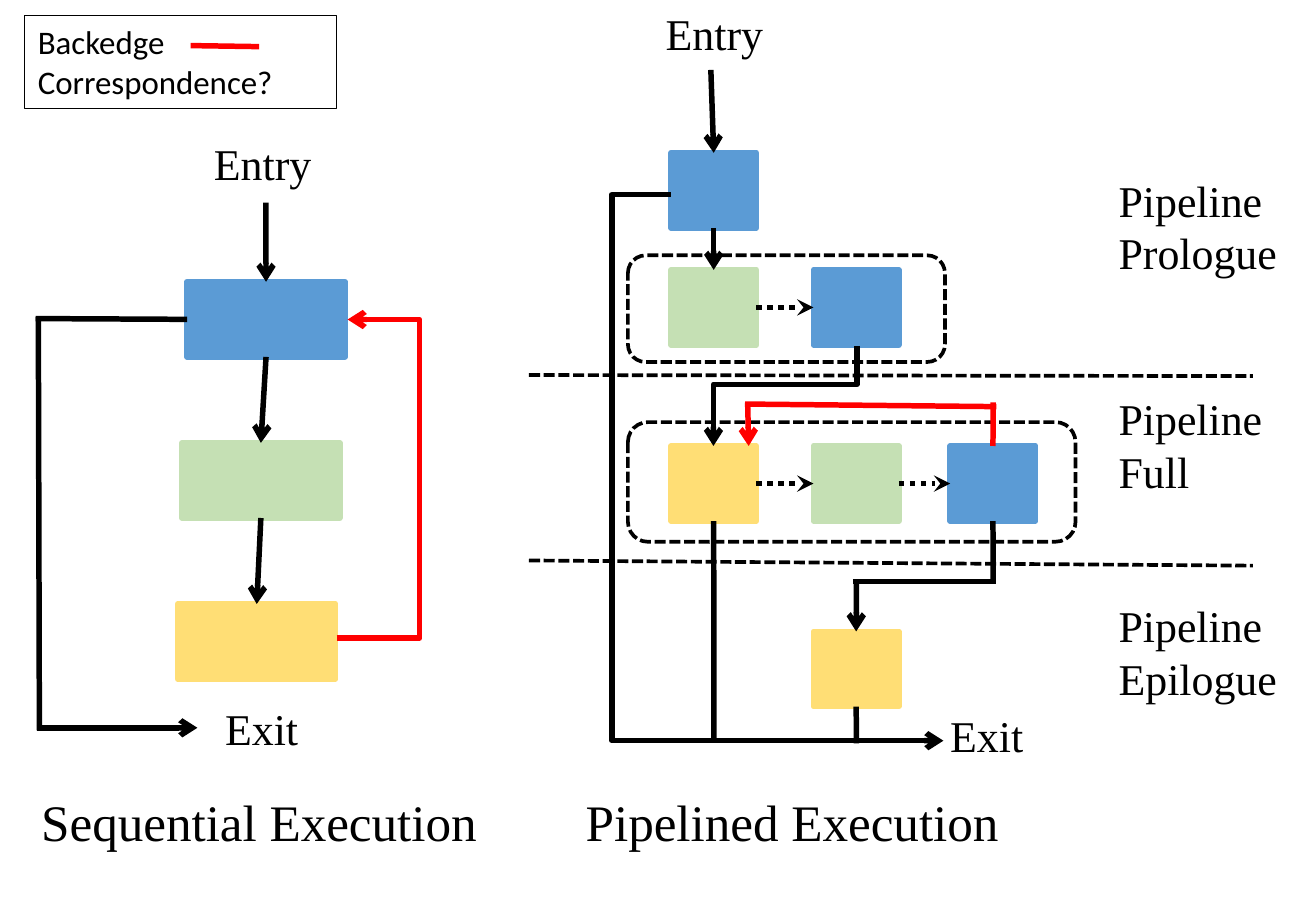
from dataclasses import dataclass
from typing import Union

import pptx
import pptx.dml.color
import pptx.enum.dml
import pptx.enum.shapes
import pptx.enum.text
import pptx.oxml
import pptx.oxml.ns
import pptx.util
from pptx.util import Cm

COLORS = {"blue": "5B9BD5", "green": "C5E0B4", "yellow": "FFDE75", "black": "000000", "red": "FF0000"}
DASHES = {
    "dash": pptx.enum.dml.MSO_LINE.SQUARE_DOT,
    "dot": pptx.enum.dml.MSO_LINE.ROUND_DOT,
}
SERIF = "Times New Roman"
TOP, LEFT, BOTTOM, RIGHT = range(4)
COLUMNS = (12.95, 15.7, 18.34)
STAGE_ROWS = {"start": 2.95, "prologue": 5.21, "full": 8.61, "epilogue": 12.19}


@dataclass
class Block:
    name: str
    x: float
    y: float
    color: str
    width: float = 1.65


@dataclass
class Join:
    block: str
    side: int


Point = tuple[float, float]
End = Union[Point, Join]


@dataclass
class Link:
    begin: End
    end: End
    head: str = ""
    color: str = "black"
    dash: str = ""
    width: float = 3


@dataclass
class Elbow:
    begin: Point
    end: Point
    middle: float
    color: str = "black"
    vertical: bool = False


@dataclass
class Label:
    text: str
    x: float
    y: float
    width: float
    height: float
    size: int = 24
    font: str = SERIF
    centered: bool = False
    caption: bool = False
    framed: bool = False


BLOCKS = [
    Block(f"{stage} {color}", COLUMNS[column], STAGE_ROWS[stage], color)
    for stage, column, color in (
        ("start", 0, "blue"),
        ("prologue", 0, "green"), ("prologue", 1, "blue"),
        ("full", 0, "yellow"), ("full", 1, "green"), ("full", 2, "blue"),
        ("epilogue", 1, "yellow"),
    )
] + [
    Block(f"sequential {color}", x, 5.44 + 3.11 * step, color, 3.05)
    for step, (color, x) in enumerate((("blue", 3.61), ("green", 3.51), ("yellow", 3.43)))
]

FRAMES = [(12.12, 4.93, 6.12, 2.06), (12.12, 8.15, 8.64, 2.31)]

LINKS = [
    Link((10.21, 7.24), (24.18, 7.26), dash="dash", width=2),
    Link((10.21, 10.82), (24.18, 10.92), dash="dash", width=2),
    Link((13.72, 1.35), Join("start blue", TOP), "arrow"),
    Link(Join("start blue", BOTTOM), Join("prologue green", TOP), "arrow"),
    Link(Join("prologue green", RIGHT), Join("prologue blue", LEFT), "stealth", dash="dot"),
    Link(Join("full yellow", RIGHT), Join("full green", LEFT), "stealth", dash="dot"),
    Link(Join("full green", RIGHT), Join("full blue", LEFT), "stealth", dash="dot"),
    Link((14.43, 7.77), (14.45, 8.61), "arrow", "red"),
    Link((14.38, 7.8), (19.23, 7.85), color="red"),
    Link((19.17, 7.77), Join("full blue", TOP), color="red"),
    Link(Join("full yellow", BOTTOM), (13.78, 14.3)),
    Link(Join("epilogue yellow", BOTTOM), (16.53, 14.35)),
    Link((16.53, 11.23), Join("epilogue yellow", TOP), "arrow"),
    Link((16.46, 11.23), (19.23, 11.23)),
    Link(Join("full blue", BOTTOM), (19.17, 11.25)),
    Link((5.13, 3.91), Join("sequential blue", TOP), "arrow"),
    Link(Join("sequential blue", BOTTOM), Join("sequential green", TOP), "arrow"),
    Link(Join("sequential green", BOTTOM), Join("sequential yellow", TOP), "arrow"),
    Link((0.69, 6.15), Join("sequential blue", LEFT)),
    Link((0.74, 6.12), (0.76, 14.1)),
    Link((0.71, 14.05), (3.81, 14.05), "arrow"),
]

ELBOWS = [
    Elbow((6.5, 12.32), (6.71, 6.17), 8.1, "red"),
    Elbow((12.95, 3.76), (18.21, 14.3), 11.81),
    Elbow((16.54, 6.68), (13.77, 8.61), 7.42, vertical=True),
]

LABELS = [
    Label("Entry", 11.96, 0.08, 3.66, 1.14, centered=True),
    Label("Exit", 18.21, 13.64, 2.59, 1.14),
    Label("Pipeline Prologue", 21.46, 3.3, 3.84, 2.18),
    Label("Pipeline\nFull", 21.46, 7.52, 3.89, 2.18),
    Label("Pipeline Epilogue", 21.46, 11.51, 4.06, 2.18),
    Label("Entry", 3.66, 2.59, 2.82, 1.14, centered=True),
    Label("Exit", 3.78, 13.49, 2.54, 1.14, centered=True),
    Label("Sequential Execution", 0.25, 14.94, 9.5, 1.63, 28, centered=True, caption=True),
    Label("Pipelined Execution", 9.5, 14.94, 11.58, 1.63, 28, centered=True, caption=True),
    Label("Backedge\nCorrespondence?", 0.48, 0.3, 6.02, 1.8, 18, "Calibri", framed=True),
]

LEGEND_STROKE = Link((3.68, 0.88), (5.0, 0.9), color="red")


def rgb(color: str) -> pptx.dml.color.RGBColor:
    return pptx.dml.color.RGBColor.from_string(COLORS[color])


def style_line(line, color: str, width: float, dash: str = "") -> None:
    line.color.rgb = rgb(color)
    line.width = pptx.util.Pt(width)
    if dash:
        line.dash_style = DASHES[dash]


def add_xml(parent, tag: str, **attributes: str) -> None:
    element = pptx.oxml.parse_xml(f"<a:{tag} {pptx.oxml.ns.nsdecls('a')}/>")
    for key, value in attributes.items():
        element.set(key, value)
    parent.append(element)


def finish_connector(connector, color: str, width: float, head: str, dash: str = "") -> None:
    style_line(connector.line, color, width, dash)
    if head:
        add_xml(connector.line._get_or_add_ln(), "tailEnd", type=head)
    add_xml(connector._element.spPr, "effectLst")


def draw_block(slide, block: Block):
    shape = slide.shapes.add_shape(
        pptx.enum.shapes.MSO_SHAPE.RECTANGLE, Cm(block.x), Cm(block.y), Cm(block.width), Cm(1.45))
    shape.shadow.inherit = False
    shape.fill.solid()
    shape.fill.fore_color.rgb = rgb(block.color)
    style_line(shape.line, block.color, 3)
    return shape


def draw_frame(slide, bounds: tuple[float, float, float, float]) -> None:
    frame = slide.shapes.add_shape(
        pptx.enum.shapes.MSO_SHAPE.ROUNDED_RECTANGLE, *map(Cm, bounds))
    frame.shadow.inherit = False
    frame.fill.background()
    style_line(frame.line, "black", 2, "dash")


def draw_link(slide, link: Link, blocks: dict) -> None:
    begin, end = ((0, 0) if isinstance(e, Join) else e for e in (link.begin, link.end))
    connector = slide.shapes.add_connector(
        pptx.enum.shapes.MSO_CONNECTOR.STRAIGHT, *map(Cm, begin + end))
    if isinstance(link.begin, Join):
        connector.begin_connect(blocks[link.begin.block], link.begin.side)
    if isinstance(link.end, Join):
        connector.end_connect(blocks[link.end.block], link.end.side)
    finish_connector(connector, link.color, link.width, link.head, link.dash)


def draw_elbow(slide, elbow: Elbow) -> None:
    (x1, y1), (x2, y2) = elbow.begin, elbow.end
    bend = (elbow.middle - x1) / (x2 - x1)
    if elbow.vertical:
        bend = (elbow.middle - y1) / (y2 - y1)
        center_x, center_y = (x1 + x2) / 2, (y1 + y2) / 2
        half_width, half_height = (y2 - y1) / 2, (x1 - x2) / 2
        x1, x2 = center_x - half_width, center_x + half_width
        y1, y2 = center_y - half_height, center_y + half_height
    connector = slide.shapes.add_connector(
        pptx.enum.shapes.MSO_CONNECTOR.ELBOW, Cm(x1), Cm(y1), Cm(x2), Cm(y2))
    properties = connector._element.spPr
    if elbow.vertical:
        properties.find(pptx.oxml.ns.qn("a:xfrm")).set("rot", "5400000")
    guides = properties.find(pptx.oxml.ns.qn("a:prstGeom")).get_or_add_avLst()
    add_xml(guides, "gd", name="adj1", fmla=f"val {round(bend * 100000)}")
    finish_connector(connector, elbow.color, 3, "arrow")


def draw_label(slide, label: Label) -> None:
    box = slide.shapes.add_textbox(Cm(label.x), Cm(label.y), Cm(label.width), Cm(label.height))
    frame = box.text_frame
    frame.word_wrap = True
    if label.framed:
        style_line(box.line, "black", 0.75)
    elif label.caption:
        frame.vertical_anchor = pptx.enum.text.MSO_ANCHOR.BOTTOM
    else:
        frame.margin_left = frame.margin_right = Cm(0.13)
        frame.margin_top = frame.margin_bottom = Cm(0.05)
    if not label.caption:
        frame.auto_size = pptx.enum.text.MSO_AUTO_SIZE.SHAPE_TO_FIT_TEXT
    frame.text = label.text
    for paragraph in frame.paragraphs:
        if label.centered:
            paragraph.alignment = pptx.enum.text.PP_ALIGN.CENTER
        for run in paragraph.runs:
            run.font.name = label.font
            run.font.size = pptx.util.Pt(label.size)
            run.font.color.rgb = rgb("black")


def main() -> None:
    deck = pptx.Presentation()
    deck.slide_width, deck.slide_height = Cm(25.4), Cm(17.78)
    slide = deck.slides.add_slide(deck.slide_layouts[6])
    blocks = {block.name: draw_block(slide, block) for block in BLOCKS}
    for bounds in FRAMES:
        draw_frame(slide, bounds)
    for link in LINKS:
        draw_link(slide, link, blocks)
    for elbow in ELBOWS:
        draw_elbow(slide, elbow)
    for label in LABELS:
        draw_label(slide, label)
    draw_link(slide, LEGEND_STROKE, blocks)
    deck.save("out.pptx")


if __name__ == "__main__":
    main()
